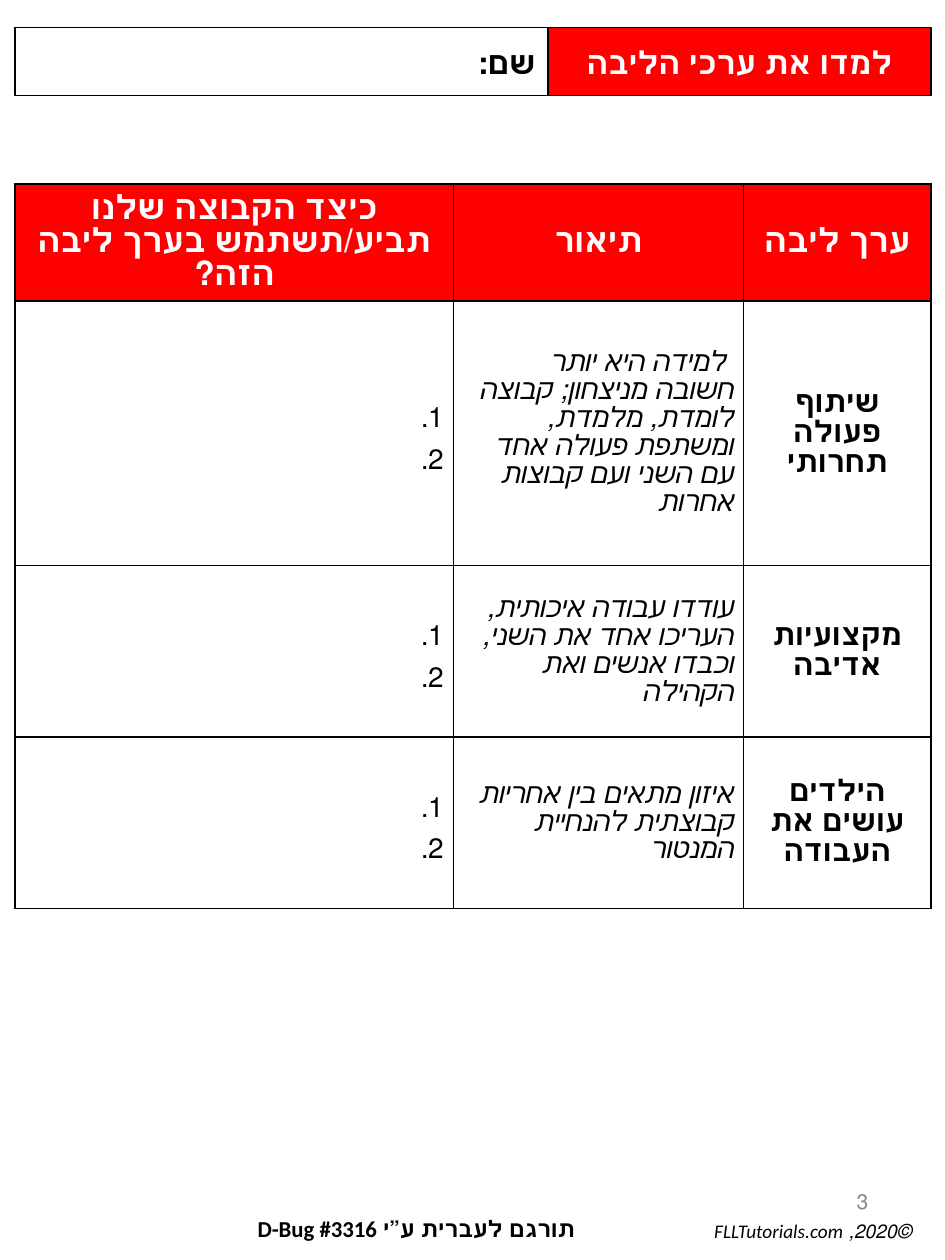
from lxml import etree
from pptx import Presentation
from pptx.dml.color import RGBColor
from pptx.enum.shapes import MSO_SHAPE
from pptx.enum.text import MSO_ANCHOR, MSO_AUTO_SIZE, PP_ALIGN
from pptx.oxml.ns import qn
from pptx.util import Inches, Pt

RED = RGBColor(0xFF, 0x00, 0x00)
WHITE = RGBColor(0xFF, 0xFF, 0xFF)
BLACK = RGBColor(0x00, 0x00, 0x00)
GRAY = RGBColor(0x88, 0x88, 0x88)

CENTER, RIGHT = PP_ALIGN.CENTER, PP_ALIGN.RIGHT
MIDDLE, TOP = MSO_ANCHOR.MIDDLE, MSO_ANCHOR.TOP
RECTANGLE = MSO_SHAPE.RECTANGLE
NO_AUTO_SIZE = MSO_AUTO_SIZE.NONE

# Grid: left edge, column widths and row heights in inches
LEFT, TABLE_TOP = 0.12, 1.46
COLUMNS = [3.48, 2.3, 1.49]
ROWS = [0.78, 2.1, 1.36, 1.36]
BANNER_TOP, BANNER_HEIGHT = 0.22, 0.54
NAME_WIDTH, TITLE_WIDTH = 4.23, 3.04

HEADINGS = ["כיצד הקבוצה שלנו תביע/תשתמש בערך ליבה הזה?", "תיאור", "ערך ליבה"]
ANSWERS = ["1.", "2."]
CORE_VALUES = [
    ("שיתוף פעולה תחרותי",
     " למידה היא יותר חשובה מניצחון; קבוצה לומדת, מלמדת, ומשתפת "
     "פעולה אחד עם השני ועם קבוצות אחרות"),
    ("מקצועיות אדיבה",
     "עודדו עבודה איכותית, העריכו אחד את השני, וכבדו אנשים ואת הקהילה"),
    ("הילדים עושים את העבודה",
     "איזון מתאים בין אחריות קבוצתית להנחיית המנטור"),
]


def write(frame, lines, size, color=BLACK, align=RIGHT, font="Calibri",
          bold=False, italic=False, spacing=None):
    """Write right-to-left paragraphs, one run each."""
    for index, line in enumerate(lines):
        paragraph = frame.paragraphs[0] if index == 0 else frame.add_paragraph()
        paragraph.alignment = align
        paragraph._p.get_or_add_pPr().set("rtl", "1")
        if spacing:
            paragraph.line_spacing = spacing
        run = paragraph.add_run()
        run.text = line
        run.font.name = font
        run.font.size = Pt(size)
        run.font.bold = bold
        run.font.italic = italic
        run.font.color.rgb = color


def set_frame(shape, anchor):
    frame = shape.text_frame
    frame.word_wrap = True
    frame.auto_size = NO_AUTO_SIZE
    frame.vertical_anchor = anchor
    return frame


def format_box(shape, fill):
    shape.fill.solid()
    shape.fill.fore_color.rgb = fill
    shape.line.color.rgb = BLACK
    shape.line.width = Pt(0.75)
    return set_frame(shape, MIDDLE)


def add_text(slide, box, text, size, anchor=TOP, **style):
    shape = slide.shapes.add_textbox(*map(Inches, box))
    write(set_frame(shape, anchor), [text], size, **style)


def add_borders(cell):
    properties = cell._tc.get_or_add_tcPr()
    for index, side in enumerate(("lnL", "lnR", "lnT", "lnB")):
        line = etree.Element(qn(f"a:{side}"), w=str(Pt(1)))
        fill = etree.SubElement(line, qn("a:solidFill"))
        etree.SubElement(fill, qn("a:srgbClr"), val=str(BLACK))
        properties.insert(index, line)


def fill_cell(cell, fill, lines, size, **style):
    cell.fill.solid()
    cell.fill.fore_color.rgb = fill
    cell.vertical_anchor = MIDDLE
    cell.margin_left = cell.margin_right = Inches(0.08)
    cell.margin_top = cell.margin_bottom = Inches(0.07)
    add_borders(cell)
    write(cell.text_frame, lines, size, **style)


def add_banner(slide):
    title = slide.shapes.title
    title.left, title.top = Inches(LEFT + NAME_WIDTH), Inches(BANNER_TOP)
    title.width, title.height = Inches(TITLE_WIDTH), Inches(BANNER_HEIGHT)
    write(format_box(title, RED), ["למדו את ערכי הליבה"], 18, WHITE, CENTER, bold=True)

    name_box = slide.shapes.add_shape(
        RECTANGLE, Inches(LEFT), Inches(BANNER_TOP),
        Inches(NAME_WIDTH), Inches(BANNER_HEIGHT))
    name_box.shadow.inherit = False
    write(format_box(name_box, WHITE), ["שם:"], 18, bold=True)


def add_values_table(slide):
    table = slide.shapes.add_table(
        len(ROWS), len(COLUMNS), Inches(LEFT), Inches(TABLE_TOP),
        Inches(sum(COLUMNS)), Inches(sum(ROWS))).table
    for column, width in zip(table.columns, COLUMNS):
        column.width = Inches(width)
    for row, height in zip(table.rows, ROWS):
        row.height = Inches(height)

    for index, heading in enumerate(HEADINGS):
        fill_cell(table.cell(0, index), RED, [heading], 19, color=WHITE,
                  align=CENTER, font="Arial", bold=True)
    for index, (value, description) in enumerate(CORE_VALUES, start=1):
        fill_cell(table.cell(index, 0), WHITE, ANSWERS, 16, spacing=1.5)
        fill_cell(table.cell(index, 1), WHITE, [description], 16,
                  font="Arial", italic=True)
        fill_cell(table.cell(index, 2), WHITE, [value], 17, align=CENTER,
                  font="Arial", bold=True)


def main():
    presentation = Presentation()
    presentation.slide_width, presentation.slide_height = Inches(7.5), Inches(10)
    slide = presentation.slides.add_slide(presentation.slide_layouts[5])

    add_banner(slide)
    add_values_table(slide)

    # Footer: page number, copyright and translation credit
    add_text(slide, (5.3, 9.27, 1.69, 0.53), "3", 12, MIDDLE, color=GRAY)
    add_text(slide, (5.14, 9.63, 2.19, 0.28), "©2020, FLLTutorials.com", 11, italic=True)
    add_text(slide, (0.46, 9.59, 4.2, 0.28), "תורגם לעברית ע”י D-Bug #3316", 13, bold=True)

    presentation.save("out.pptx")


if __name__ == "__main__":
    main()
